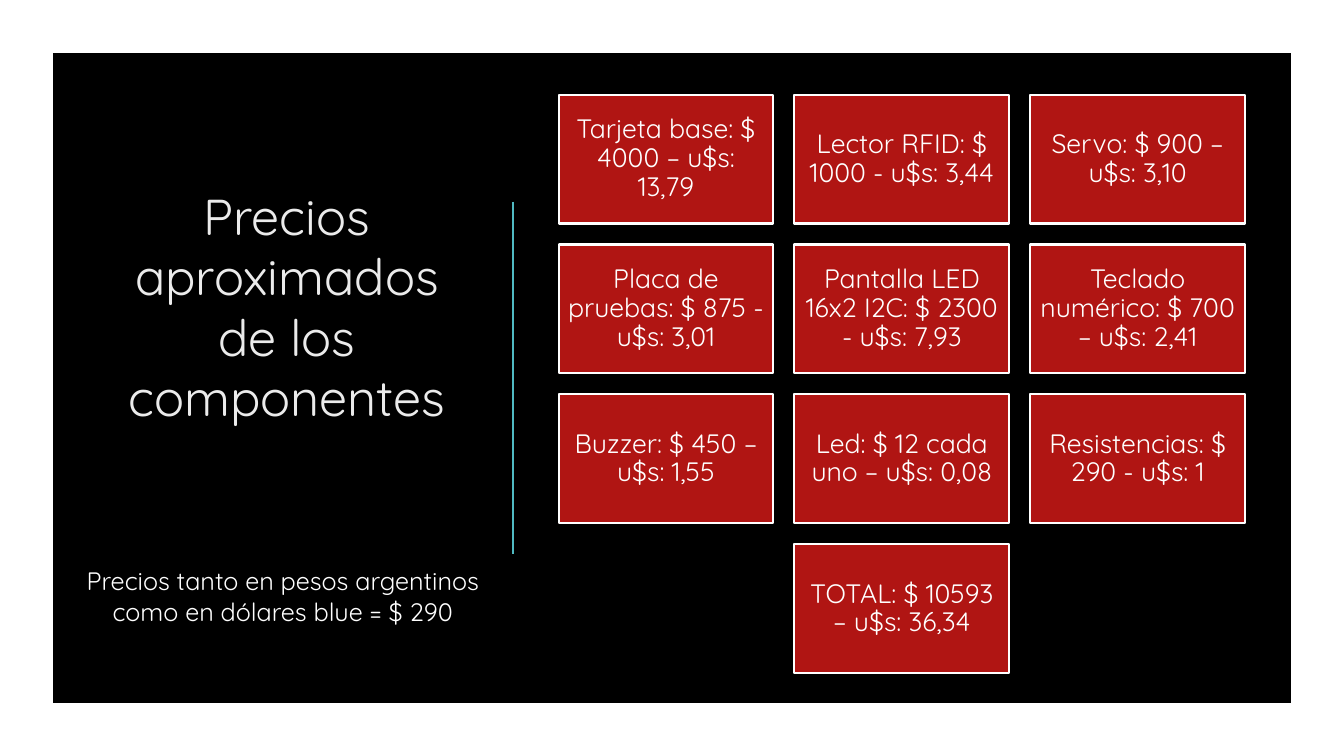
import pptx
import pptx.util
import pptx.dml.color
import pptx.enum.shapes
import pptx.enum.text
import pptx.oxml
from dataclasses import dataclass

Pt = pptx.util.Pt
RGB = pptx.dml.color.RGBColor.from_string
SHAPE = pptx.enum.shapes.MSO_SHAPE
MIDDLE = pptx.enum.text.MSO_ANCHOR.MIDDLE
CENTER = pptx.enum.text.PP_ALIGN.CENTER
NO_FIT = pptx.enum.text.MSO_AUTO_SIZE.NONE


@dataclass(frozen=True)
class Theme:
    font: str = "Quicksand"
    black: str = "000000"
    white: str = "FFFFFF"
    red: str = "B01513"
    teal: str = "50B9C1"
    title_color: str = "EBEBEB"
    title_size: int = 36
    tile_size: int = 19
    note_size: int = 18
    line_width: float = 1.5


THEME = Theme()

PRICES = [
    "Tarjeta base: $ 4000 – u$s: 13,79",
    "Lector RFID: $ 1000 - u$s: 3,44",
    "Servo: $ 900 – u$s: 3,10",
    "Placa de pruebas: $ 875 - u$s: 3,01",
    "Pantalla LED 16x2 I2C: $ 2300 - u$s: 7,93",
    "Teclado numérico: $ 700 – u$s: 2,41",
    "Buzzer: $ 450 – u$s: 1,55",
    "Led: $ 12 cada uno – u$s: 0,08",
    "Resistencias: $ 290 - u$s: 1",
]
TOTAL = "TOTAL: $ 10593 – u$s: 36,34"


def write(tf, text, size, color):
    tf.word_wrap = True
    p = tf.paragraphs[0]
    p.alignment = CENTER
    r = p.add_run()
    r.text = text
    r.font.name = THEME.font
    r.font.size = Pt(size)
    r.font.color.rgb = RGB(color)
    return p


def add_frame(s, x, y, w, h):
    s.background.fill.solid()
    s.background.fill.fore_color.rgb = RGB(THEME.black)
    sp = s.shapes.add_shape(SHAPE.FRAME, Pt(x), Pt(y), Pt(w), Pt(h))
    sp.adjustments[0] = 0.07
    sp.shadow.inherit = False
    sp.fill.solid()
    sp.fill.fore_color.rgb = RGB(THEME.white)
    sp.line.fill.background()


def add_heading(s, x, y, w, h):
    title = s.shapes.title
    title.left, title.top = Pt(x + 18.5), Pt(y)
    title.width, title.height = Pt(w - 41), Pt(413)
    tf = title.text_frame
    tf.auto_size = NO_FIT
    tf.vertical_anchor = MIDDLE
    write(tf, "Precios aproximados de los componentes",
          THEME.title_size, THEME.title_color)

    note = s.shapes.add_textbox(Pt(x), Pt(y + h - 51), Pt(w - 10), Pt(51))
    write(note.text_frame,
          "Precios tanto en pesos argentinos como en dólares blue = $ 290",
          THEME.note_size, THEME.white)

    rule = s.shapes.add_connector(
        pptx.enum.shapes.MSO_CONNECTOR.STRAIGHT,
        Pt(x + w), Pt(y + 132), Pt(x + w), Pt(y + 384))
    rule.line.color.rgb = RGB(THEME.teal)
    rule.line.width = Pt(THEME.line_width)
    rule._element.spPr.append(pptx.oxml.parse_xml(
        '<a:effectLst xmlns:a='
        '"http://schemas.openxmlformats.org/drawingml/2006/main"/>'))


def add_tile(s, text, x, y, w, h):
    sp = s.shapes.add_shape(SHAPE.RECTANGLE, Pt(x), Pt(y), Pt(w), Pt(h))
    sp.shadow.inherit = False
    sp.fill.solid()
    sp.fill.fore_color.rgb = RGB(THEME.red)
    sp.line.color.rgb = RGB(THEME.white)
    sp.line.width = Pt(THEME.line_width)
    tf = sp.text_frame
    tf.vertical_anchor = MIDDLE
    tf.margin_left = tf.margin_right = Pt(5.7)
    tf.margin_top = tf.margin_bottom = Pt(5.7)
    write(tf, text, THEME.tile_size, THEME.white).line_spacing = 0.9


def add_prices(s, x, y, w, h, cols=3, gap=15):
    rows = len(PRICES) // cols + 1
    tile_w = (w - gap * (cols - 1)) / cols
    tile_h = (h - gap * (rows - 1)) / rows
    cells = [(text, *divmod(i, cols)) for i, text in enumerate(PRICES)]
    cells.append((TOTAL, rows - 1, cols // 2))
    for text, row, col in cells:
        add_tile(s, text, x + col * (tile_w + gap),
                 y + row * (tile_h + gap), tile_w, tile_h)


def main():
    prs = pptx.Presentation()
    prs.slide_width, prs.slide_height = Pt(960), Pt(540)
    s = prs.slides.add_slide(prs.slide_layouts[5])
    add_frame(s, 0, 0, 960, 540)
    add_heading(s, 47.5, 12, 319, 439.5)
    add_prices(s, 399, 67.6, 490.4, 413.3)
    prs.save("out.pptx")


if __name__ == "__main__":
    main()
